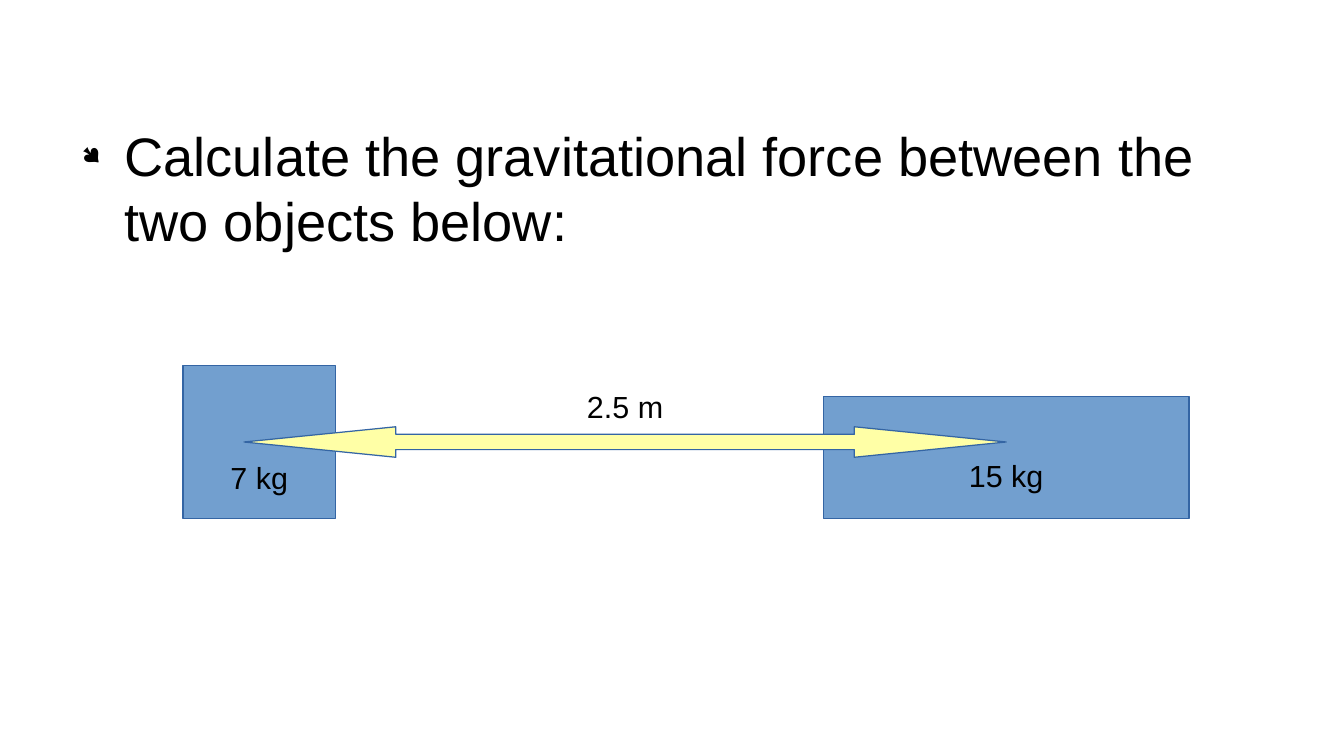
from lxml.etree import SubElement as Sub
from pptx import Presentation
from pptx.dml.color import RGBColor as RGB
from pptx.enum.shapes import MSO_SHAPE as Kind
from pptx.enum.text import MSO_ANCHOR as Anchor, MSO_AUTO_SIZE as Fit, PP_ALIGN as Align
from pptx.oxml.ns import qn
from pptx.util import Inches, Pt

BLACK = RGB(0, 0, 0)
BLUE = RGB(0x72, 0x9F, 0xCF)
EDGE = RGB(0x34, 0x65, 0xA4)
YELLOW = RGB(0xFF, 0xFF, 0xA6)

TASK = "Calculate the gravitational force between the two objects below:"
UNIT = 0.25
LINE = 0.29
BLOCKS = [
    ("7 kg", (6, 12, 5, 5), 2),
    ("15 kg", (27, 13, 12, 4), 1),
]
ARROW = (8, 14, 25, 1)
GAP = "2.5 m"


def grid(cells):
    return [Inches(n * UNIT) for n in cells]


def write(frame, text, size, align):
    frame.text = text
    para = frame.paragraphs[0]
    para.alignment = align
    font = para.font
    font.name, font.size = "Arial", Pt(size)
    font.color.rgb = BLACK
    return para


def label(frame, text, drop=0):
    frame.word_wrap = False
    frame.vertical_anchor = Anchor.MIDDLE
    frame.margin_top = Inches(0.05 + drop)
    write(frame, text, 18, Align.CENTER)


def draw(shapes, kind, cells, fill):
    shape = shapes.add_shape(kind, *grid(cells))
    shape.shadow.inherit = False
    shape.fill.solid()
    shape.fill.fore_color.rgb = fill
    shape.line.color.rgb = EDGE
    shape.line.width = Pt(0)
    return shape


def bullet(para):
    para.space_before = Pt(14)
    props = para._p.get_or_add_pPr()
    props.set("marL", str(Inches(0.35)))
    props.set("indent", str(Inches(-0.35)))
    color = Sub(props, qn("a:buClr"))
    Sub(color, qn("a:srgbClr"), val=str(BLACK))
    Sub(props, qn("a:buSzPct"), val="45000")
    Sub(props, qn("a:buFont"), typeface="Wingdings", charset="2")
    Sub(props, qn("a:buChar"), char="●")


def main():
    deck = Presentation()
    deck.slide_width, deck.slide_height = Inches(11.02), Inches(6.2)
    slide = deck.slides.add_slide(deck.slide_layouts[1])
    shapes = slide.shapes
    title = shapes.title.element
    title.getparent().remove(title)

    body = slide.placeholders[1]
    body.left, body.top = Inches(0.55 + 0.12), Inches(1)
    body.width, body.height = Inches(9.8), Inches(4.05)
    frame = body.text_frame
    frame.auto_size = Fit.NONE
    frame.vertical_anchor = Anchor.TOP
    frame.margin_left = frame.margin_right = 0
    frame.margin_top = frame.margin_bottom = 0
    bullet(write(frame, TASK, 32, Align.LEFT))

    for text, cells, lines in BLOCKS:
        block = draw(shapes, Kind.RECTANGLE, cells, BLUE)
        label(block.text_frame, text, lines * LINE)

    arrow = draw(shapes, Kind.LEFT_RIGHT_ARROW, ARROW, YELLOW)
    arrow.adjustments[0] = 0.5
    arrow.adjustments[1] = 4.98
    left, top, width, height = grid(ARROW)
    note = shapes.add_textbox(left, top - Inches(LINE), width, height)
    label(note.text_frame, GAP)

    deck.save("out.pptx")


if __name__ == "__main__":
    main()
